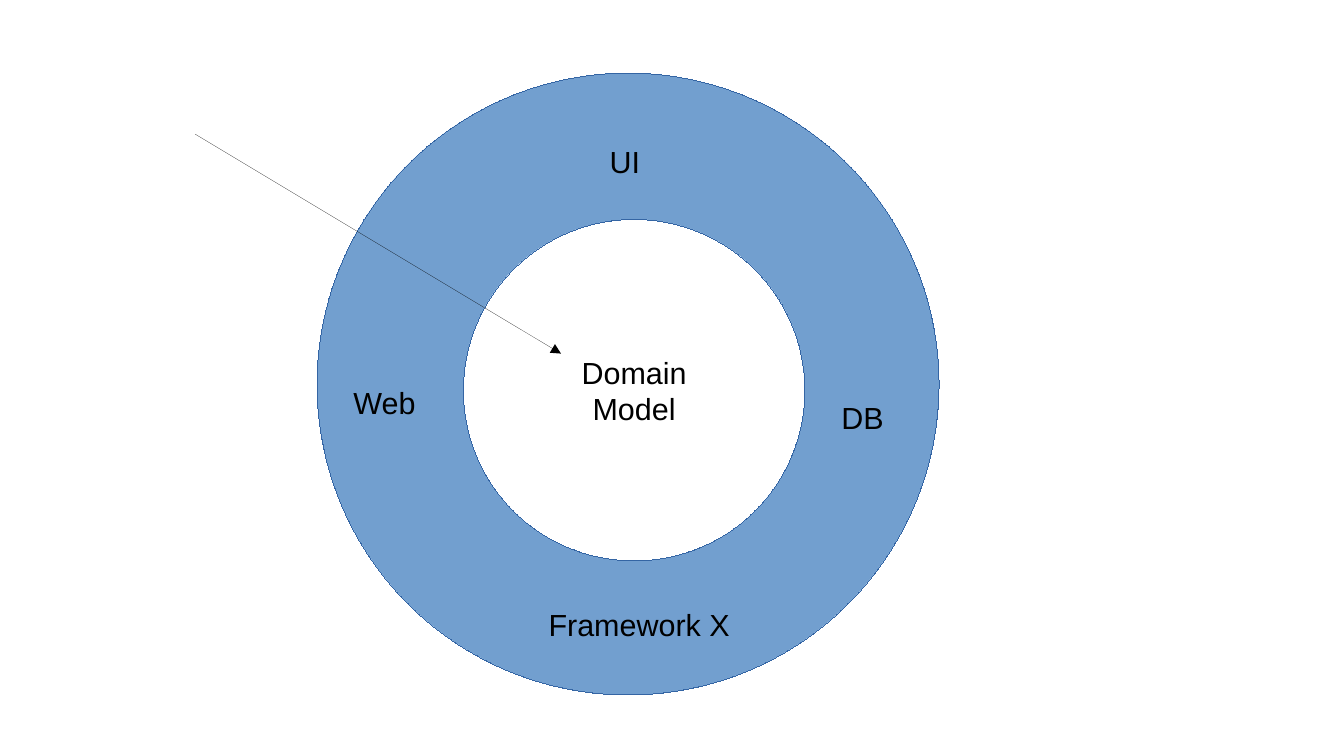
from pptx import Presentation as Deck
from pptx.dml.color import RGBColor as RGB
from pptx.enum.shapes import MSO_CONNECTOR as Link, MSO_SHAPE as Form
from pptx.enum.text import MSO_ANCHOR as Anchor, MSO_AUTO_SIZE as Fit, PP_ALIGN as Align
from pptx.oxml.ns import qn
from pptx.util import Inches, Pt
from lxml.etree import SubElement as Sub

BLUE = RGB(0x72, 0x9F, 0xCF)
EDGE = RGB(0x34, 0x65, 0xA4)
WHITE = RGB(0xFF, 0xFF, 0xFF)
BLACK = RGB(0, 0, 0)
LABELS = [
    ("UI", 49, 11.2, 4.6),
    ("Web", 28, 31, 7.2),
    ("DB", 68, 32.2, 5.6),
    ("Framework X", 44, 49.2, 17),
]


def grid(*cells):
    return [Inches(cell / 10) for cell in cells]


def hairline(shape, color):
    shape.line.color.rgb = color
    line = shape.line._get_or_add_ln()
    line.set("w", "0")
    return line


def circle(slide, left, top, size, fill):
    disc = slide.shapes.add_shape(Form.OVAL, *grid(left, top, size, size))
    disc.shadow.inherit = False
    disc.fill.solid()
    disc.fill.fore_color.rgb = fill
    hairline(disc, EDGE)
    return disc


def write(frame, lines, align):
    frame.word_wrap = False
    para = frame.paragraphs[0]
    para.alignment = align
    for row, text in enumerate(lines):
        if row:
            para.add_line_break()
        run = para.add_run()
        run.text = text
        run.font.name = "Arial"
        run.font.size = Pt(18)
        run.font.color.rgb = BLACK


def label(slide, text, left, top, width):
    box = slide.shapes.add_textbox(*grid(left, top, width, 3.8))
    write(box.text_frame, [text], Align.LEFT)
    box.text_frame.auto_size = Fit.SHAPE_TO_FIT_TEXT


def arrow(slide, *ends):
    link = slide.shapes.add_connector(Link.STRAIGHT, *grid(*ends))
    Sub(hairline(link, BLACK), qn("a:tailEnd"), type="triangle")
    Sub(link._element.spPr, qn("a:effectLst"))


def main():
    deck = Deck()
    deck.slide_width, deck.slide_height = Inches(11.02), Inches(6.2)
    slide = deck.slides.add_slide(deck.slide_layouts[6])
    circle(slide, 26, 6, 51, BLUE)
    core = circle(slide, 38, 18, 28, WHITE)
    core.text_frame.vertical_anchor = Anchor.MIDDLE
    write(core.text_frame, ["Domain", "Model"], Align.CENTER)
    for item in LABELS:
        label(slide, *item)
    arrow(slide, 16, 11, 46, 29)
    deck.save("out.pptx")


if __name__ == "__main__":
    main()
